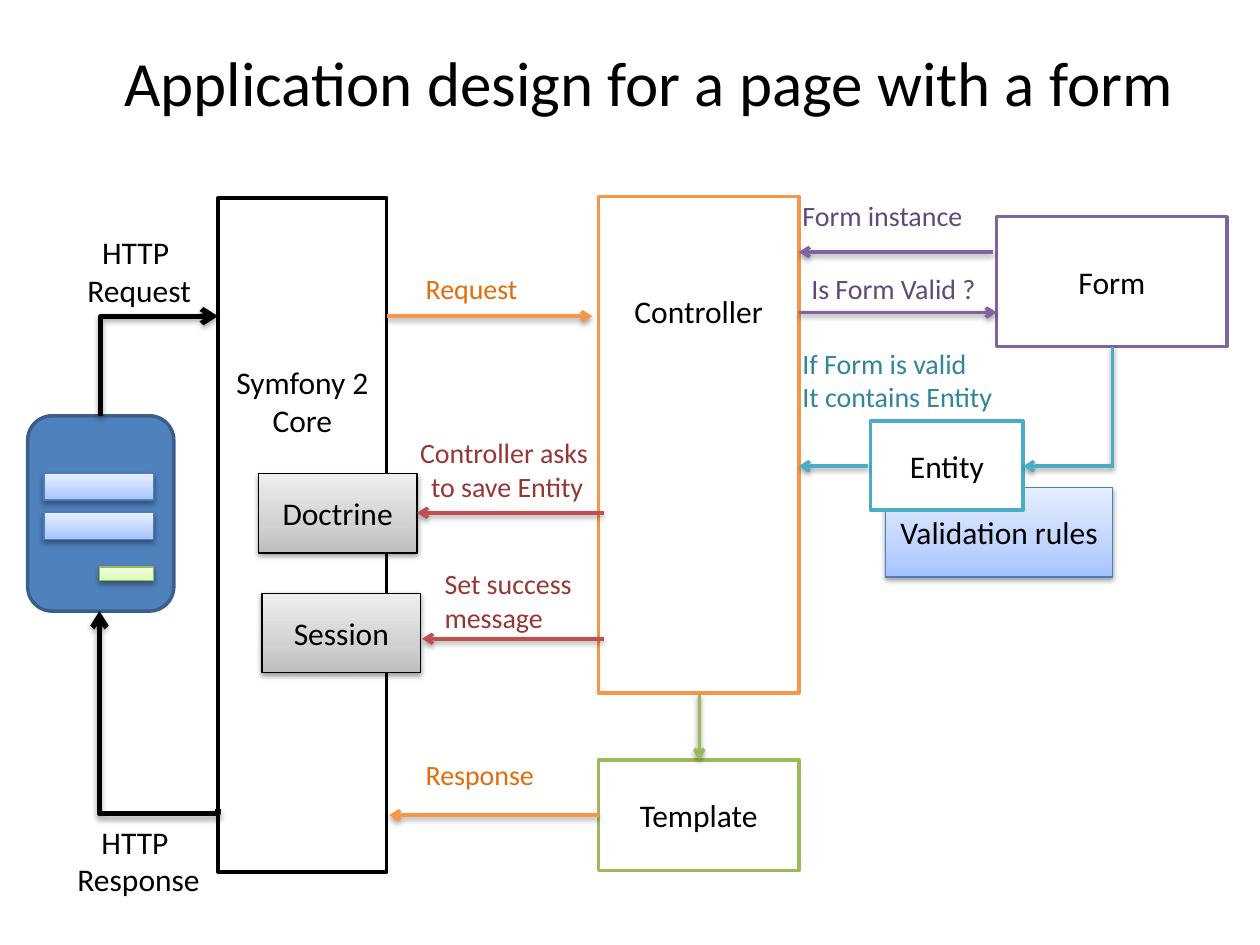
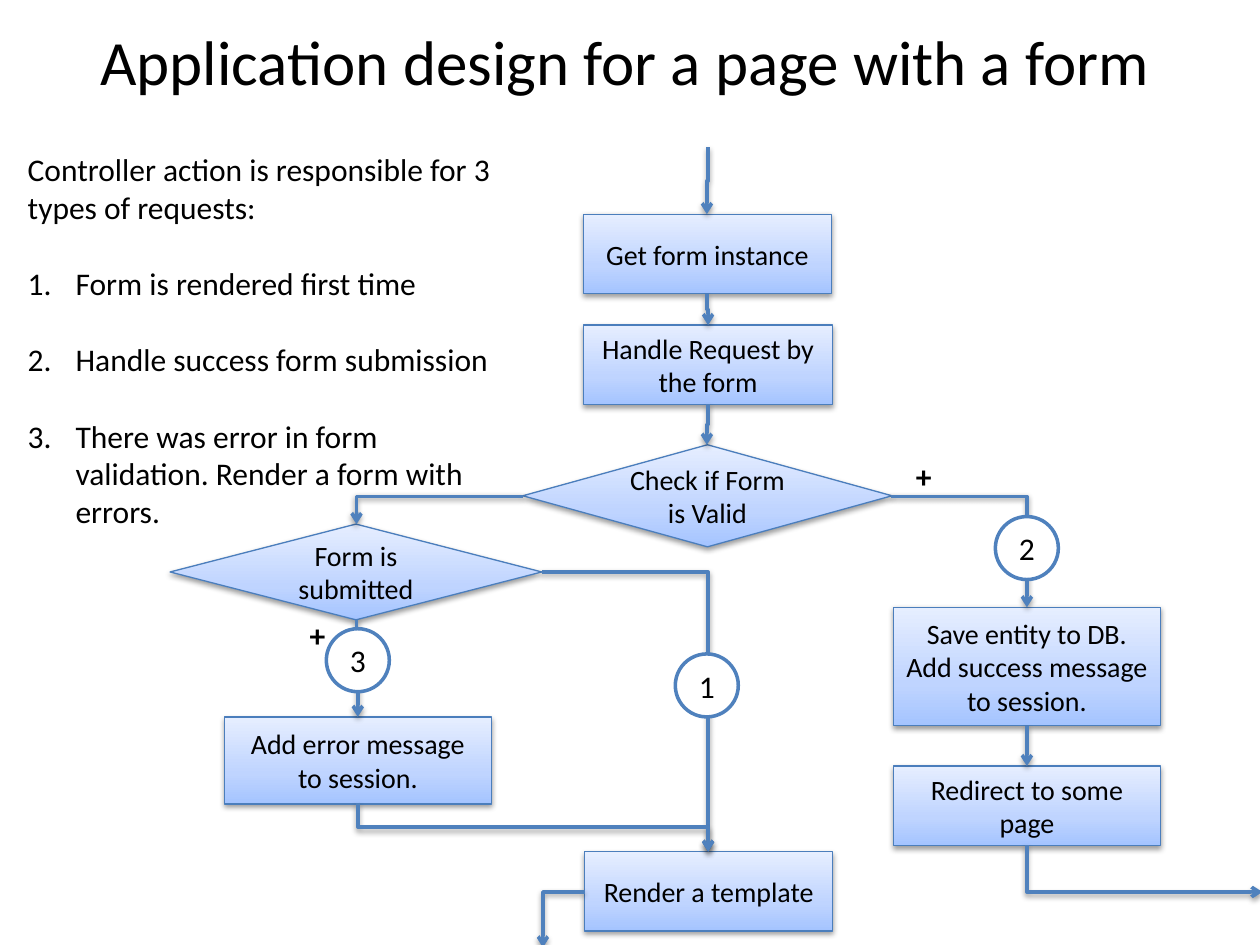
import lxml.etree
import pptx
import pptx.dml.color
import pptx.enum.shapes
import pptx.enum.text
import pptx.oxml.ns
import pptx.util

EMU_PER_PX = 9144
FONT = "Calibri"
TITLE = "Application design for a page with a form"
LINE_OF_TEXT = 22
COLORS = {
    "black": "000000",
    "white": "FFFFFF",
    "blue": "4F81BD",
    "blue edge": "4B7EBC",
    "navy": "3A5F8C",
    "purple": "8064A2",
    "purple text": "604A7B",
    "teal": "4BACC6",
    "teal text": "31859C",
    "orange": "F79646",
    "orange text": "E46C0A",
    "red": "C0504D",
    "red text": "953735",
    "green": "9BBB59",
    "green edge": "98B955",
}
GRADIENTS = {
    "blue": ("A4C4FF", "BFD4FF", "E6EEFF"),
    "grey": ("BDBDBD", "D1D1D1", "EEEEEE"),
    "lime": ("DAFDA7", "E4FCC2", "F5FFE7"),
}
STOPS = (0, 35000, 100000)

SHAPES = pptx.enum.shapes.MSO_SHAPE
CONNECTORS = pptx.enum.shapes.MSO_CONNECTOR
ALIGN = pptx.enum.text.PP_ALIGN
ANCHOR = pptx.enum.text.MSO_ANCHOR
AUTO_SIZE = pptx.enum.text.MSO_AUTO_SIZE
qn = pptx.oxml.ns.qn


def emu(*lengths):
    return [round(length * EMU_PER_PX) for length in lengths]


def rgb(name):
    return pptx.dml.color.RGBColor.from_string(COLORS[name])


def add_xml(parent, tag, **attributes):
    return lxml.etree.SubElement(parent, qn(tag), **attributes)


def write(frame, text, size=18, color="black", align=ALIGN.CENTER, bold=False,
          anchor=ANCHOR.MIDDLE, wrap=True, auto_size=AUTO_SIZE.NONE):
    frame.word_wrap = wrap
    frame.auto_size = auto_size
    frame.vertical_anchor = anchor
    for index, line in enumerate(text.split("\n")):
        para = frame.paragraphs[0] if index == 0 else frame.add_paragraph()
        para.alignment = align
        span = para.add_run()
        span.text = line
        span.font.name = FONT
        span.font.size = pptx.util.Pt(size)
        span.font.bold = bold
        span.font.color.rgb = rgb(color)


class Page:
    def __init__(self, deck, layout, title_place):
        self.slide = deck.slides.add_slide(deck.slide_layouts[layout])
        self.shapes = self.slide.shapes
        self.fill_placeholder(self.shapes.title, title_place, TITLE, size=36)

    def fill_placeholder(self, holder, place, text, **style):
        holder.left, holder.top, holder.width, holder.height = emu(*place)
        write(holder.text_frame, text, **style)

    def cast_shadow(self, effects, distance=20000, opacity=38000):
        shadow = add_xml(effects, "a:outerShdw", blurRad="40000", dist=str(distance),
                         dir="5400000", rotWithShape="0")
        color = add_xml(shadow, "a:srgbClr", val=COLORS["black"])
        add_xml(color, "a:alpha", val=str(opacity))

    def box(self, place, text="", edge="blue", fill="white", weight=2,
            kind=SHAPES.RECTANGLE, lift=0, **style):
        box = self.shapes.add_shape(kind, *emu(*place))
        box.shadow.inherit = False
        box.fill.solid()
        box.fill.fore_color.rgb = rgb(fill)
        box.line.color.rgb = rgb(edge)
        box.line.width = pptx.util.Pt(weight)
        if text:
            write(box.text_frame, text, **style)
            box.text_frame.margin_bottom = emu(5 + lift)[0]
        return box

    def glossy_box(self, place, text="", gradient="blue", edge="blue edge", **style):
        box = self.box(place, text, edge, weight=0.75, **style)
        box.fill.gradient()
        box.fill.gradient_angle = 90
        properties = box.element.spPr
        stops = properties.find(qn("a:gradFill")).find(qn("a:gsLst"))
        for stop in list(stops):
            stops.remove(stop)
        for position, color in zip(STOPS, GRADIENTS[gradient]):
            stop = add_xml(stops, "a:gs", pos=str(position))
            add_xml(stop, "a:srgbClr", val=color)
        self.cast_shadow(properties.find(qn("a:effectLst")))

    def label(self, place, text, size=16, align=ALIGN.LEFT, wrap=False, **style):
        box = self.shapes.add_textbox(*emu(*place))
        write(box.text_frame, text, size=size, align=align, wrap=wrap,
              anchor=ANCHOR.TOP, auto_size=AUTO_SIZE.SHAPE_TO_FIT_TEXT, **style)

    def arrow(self, start, end, color="blue", route="straight", weight=2, bend=None):
        (x1, y1), (x2, y2) = start, end
        kind = CONNECTORS.STRAIGHT if route == "straight" else CONNECTORS.ELBOW
        upright = route in ("down", "step")
        if upright:
            middle_x, middle_y = (x1 + x2) / 2, (y1 + y2) / 2
            half_x, half_y = (y2 - y1) / 2, (x1 - x2) / 2
            x1, y1 = middle_x - half_x, middle_y - half_y
            x2, y2 = middle_x + half_x, middle_y + half_y
        connector = self.shapes.add_connector(kind, *emu(x1, y1, x2, y2))
        if upright:
            connector.rotation = 90
        connector.line.color.rgb = rgb(color)
        connector.line.width = pptx.util.Pt(weight)
        properties = connector.element.spPr
        geometry = properties.find(qn("a:prstGeom"))
        if route in ("across", "down"):
            geometry.set("prst", "bentConnector2")
        if bend is not None:
            guides = geometry.find(qn("a:avLst"))
            if guides is None:
                guides = add_xml(geometry, "a:avLst")
            add_xml(guides, "a:gd", name="adj1", fmla=f"val {bend}")
        add_xml(properties.find(qn("a:ln")), "a:tailEnd", type="arrow")
        effects = add_xml(properties, "a:effectLst")
        if weight > 2:
            self.cast_shadow(effects, 23000, 35000)
        else:
            self.cast_shadow(effects)

    def numbered_list(self, place, text):
        body = self.slide.placeholders[1]
        self.fill_placeholder(body, place, text, align=ALIGN.LEFT, anchor=ANCHOR.TOP)
        for index, para in enumerate(body.text_frame.paragraphs):
            para.space_before = pptx.util.Pt(LINE_OF_TEXT if index else 0)
            properties = para._p.get_or_add_pPr()
            indent = emu(38 if index else 0)[0]
            properties.set("marL", str(indent))
            properties.set("indent", str(-indent))
            if index:
                add_xml(properties, "a:buFont", typeface="+mj-lt")
                add_xml(properties, "a:buAutoNum", type="arabicPeriod")
            else:
                add_xml(properties, "a:buNone")


def draw_architecture(deck):
    page = Page(deck, 5, (50, 30, 930, 69))
    page.glossy_box((703, 387, 180, 71), "Validation rules")
    page.box((791, 172, 183, 103), "Form", "purple")
    page.box((691, 334, 121, 71), "Entity", "teal")
    page.box((475, 603, 159, 88), "Template", "green")
    page.box((173, 157, 134, 535), "Symfony 2 Core", "black", lift=213)
    page.box((475, 156, 159, 394), "Controller", "orange", lift=213)
    for top, text in ((376, "Doctrine"), (471, "Session")):
        left = 205 if text == "Doctrine" else 208
        page.glossy_box((left, top, 126, 63), text, "grey", "black")

    page.box((22, 330, 116, 155), edge="navy", fill="blue",
             kind=SHAPES.ROUNDED_RECTANGLE)
    for top in (376, 407):
        page.glossy_box((35, top, 87, 21))
    page.glossy_box((79, 450, 43, 11), gradient="lime", edge="green edge")

    for start, end, color in (
        ((307, 251), (470, 251), "orange"),
        ((475, 647), (309, 647), "orange"),
        ((555, 551), (555, 603), "green"),
        ((788, 200), (634, 200), "purple"),
        ((634, 248), (791, 248), "purple"),
        ((689, 370), (634, 370), "teal"),
        ((479, 407), (331, 407), "red"),
        ((479, 507), (335, 507), "red"),
    ):
        page.arrow(start, end, color)
    page.arrow((883, 275), (812, 370), "teal", "down")
    page.arrow((80, 330), (173, 251), "black", "down", weight=3)
    page.arrow((173, 642), (79, 485), "black", "step", weight=3, bend=-2500)

    for place, text, color in (
        ((328, 211, 94, 37), "Request", "orange text"),
        ((328, 596, 107, 37), "Response", "orange text"),
        ((627, 153, 149, 37), "Form instance", "purple text"),
        ((634, 211, 152, 37), "Is Form Valid ?", "purple text"),
        ((627, 270, 173, 64), "If Form is valid\nIt contains Entity", "teal text"),
    ):
        page.label(place, text, color=color)
    page.label((322, 341, 161, 64), "Controller asks \nto save Entity",
               align=ALIGN.CENTER, color="red text")
    page.label((343, 445, 125, 66), "Set success message", wrap=True, color="red text")
    page.label((59, 180, 103, 71), "HTTP \nRequest", 18, ALIGN.CENTER)
    page.label((51, 648, 118, 71), "HTTP \nResponse", 18, ALIGN.CENTER)


def draw_controller_flow(deck):
    page = Page(deck, 1, (46, 13, 900, 69))
    page.numbered_list((12, 114, 399, 313), "\n".join((
        "Controller action is responsible for 3 types of requests:",
        "Form is rendered first time",
        "Handle success form submission",
        "There was error in form validation. Render a form with errors.",
    )))

    for place, text in (
        ((463, 170, 197, 63), "Get form instance"),
        ((463, 258, 198, 63), "Handle Request by the form"),
        ((464, 676, 197, 63), "Render a template"),
        ((709, 482, 212, 94), "Save entity to DB.\nAdd success message to session."),
        ((178, 569, 212, 69), "Add error message to session."),
        ((709, 608, 212, 63), "Redirect to some page"),
    ):
        page.glossy_box(place, text, size=16)
    for place, text in (
        ((415, 353, 293, 81), "Check if Form is Valid"),
        ((135, 416, 295, 76), "Form is submitted"),
    ):
        page.glossy_box(place, text, size=16, kind=SHAPES.FLOWCHART_DECISION)

    for start, end, route in (
        ((562, 117), (561, 170), "step"),
        ((561, 233), (562, 258), "step"),
        ((562, 321), (561, 353), "step"),
        ((707, 394), (815, 482), "across"),
        ((415, 394), (283, 416), "across"),
        ((283, 492), (284, 569), "step"),
        ((430, 454), (562, 676), "across"),
        ((815, 576), (815, 608), "straight"),
        ((284, 637), (562, 676), "step"),
        ((815, 671), (1002, 708), "down"),
        ((464, 708), (431, 752), "across"),
    ):
        page.arrow(start, end, route=route)

    for left, top, number in ((536, 519, "1"), (259, 499, "3"), (790, 410, "2")):
        page.box((left, top, 50, 50), number, kind=SHAPES.OVAL)
    for left, top in ((717, 358), (236, 484)):
        page.label((left, top, 33, 40), "+", 18, bold=True)


def main():
    deck = pptx.Presentation()
    deck.slide_width, deck.slide_height = emu(1000, 750)
    draw_architecture(deck)
    draw_controller_flow(deck)
    deck.save("out.pptx")


if __name__ == "__main__":
    main()
